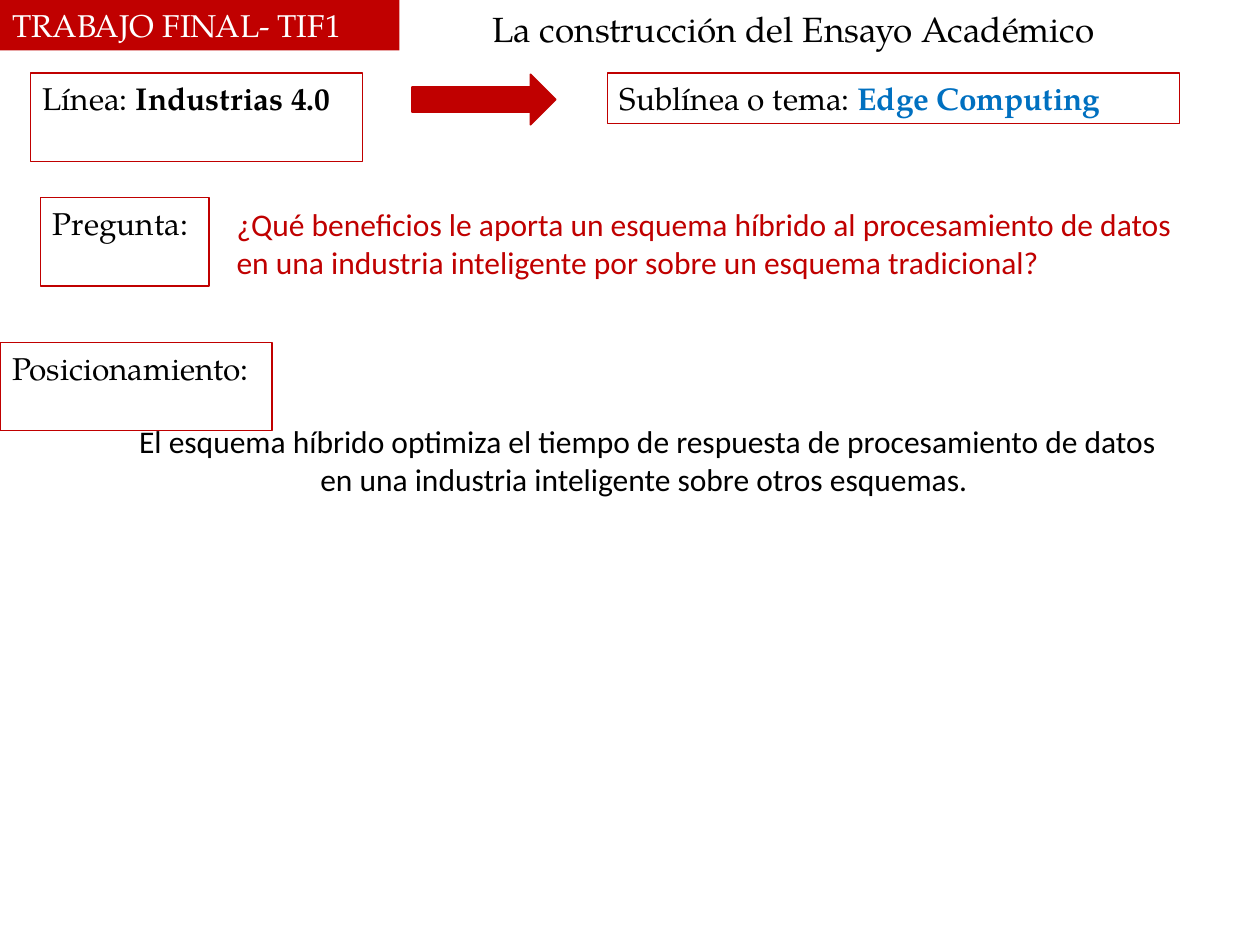
from pptx import Presentation
from pptx.dml.color import RGBColor as RGB
from pptx.enum.shapes import MSO_SHAPE as Shape
from pptx.enum.text import MSO_ANCHOR as Anchor, PP_ALIGN as Align
from pptx.util import Inches, Pt

RED, BLACK, WHITE, BLUE = "C00000", "000000", "FFFFFF", "0070C0"
SERIF, SANS = "TeX Gyre Pagella", "Calibri"


def paint(part, color):
    """Give a fill or a font its colour."""
    if hasattr(part, "solid"):
        part.solid()
        part.fore_color.rgb = RGB.from_string(color)
    else:
        part.color.rgb = RGB.from_string(color)


def write(para, text, size=18, face=SERIF, color=BLACK, bold=False):
    run = para.add_run()
    run.text = text
    run.font.size = Pt(size)
    run.font.name = face
    run.font.bold = bold
    paint(run.font, color)


class Page:
    def __init__(self, slide):
        self.slide = slide

    def place(self, kind, area, fill=None, line=None, width=0.75):
        item = self.slide.shapes.add_shape(kind, *map(Inches, area))
        item.shadow.inherit = False
        if fill:
            paint(item.fill, fill)
        else:
            item.fill.background()
        if line:
            paint(item.line, line)
            item.line.width = Pt(width)
        else:
            item.line.fill.background()
        return item

    def setup(self, item, align):
        frame = item.text_frame
        frame.word_wrap = True
        frame.vertical_anchor = Anchor.TOP
        para = frame.paragraphs[0]
        para.alignment = align
        return para

    def box(self, area, text, strong="", accent=BLACK):
        """Red outlined label, with an optional bold ending."""
        item = self.place(Shape.RECTANGLE, area, line=RED)
        para = self.setup(item, Align.LEFT)
        write(para, text)
        if strong:
            write(para, strong, color=accent, bold=True)

    def banner(self, area, text):
        item = self.place(Shape.RECTANGLE, area, fill=RED)
        write(self.setup(item, Align.LEFT), text, color=WHITE)

    def arrow(self, area):
        self.place(Shape.RIGHT_ARROW, area, fill=RED, line=RED, width=1)

    def text(self, area, text, align=Align.LEFT, **style):
        item = self.slide.shapes.add_textbox(*map(Inches, area))
        write(self.setup(item, align), text, **style)


def main():
    deck = Presentation()
    deck.slide_width, deck.slide_height = Inches(10), Inches(7.5)
    page = Page(deck.slides.add_slide(deck.slide_layouts[6]))

    # Heading
    page.banner((0, 0, 3.17, 0.4), "TRABAJO FINAL- TIF1")
    page.text((3.59, 0.01, 5.2, 0.77), "La construcción del Ensayo Académico",
              Align.RIGHT, size=20)

    # Line of work and its topic
    page.box((0.24, 0.58, 2.64, 0.7), "Línea: ", "Industrias 4.0")
    page.box((4.82, 0.58, 4.54, 0.4), "Sublínea o tema: ", "Edge Computing", BLUE)
    page.arrow((3.27, 0.59, 1.14, 0.4))

    # Question and position
    page.box((0.32, 1.57, 1.34, 0.7), "Pregunta:")
    page.box((0, 2.72, 2.16, 0.7), "Posicionamiento:")
    page.text((1.78, 1.58, 7.83, 0.7),
              "¿Qué beneficios le aporta un esquema híbrido al procesamiento de datos "
              "en una industria inteligente por sobre un esquema tradicional?",
              face=SANS, color=RED)
    page.text((0.99, 3.3, 8.3, 0.7),
              "El esquema híbrido optimiza el tiempo de respuesta de procesamiento de "
              "datos en una industria inteligente sobre otros esquemas. ",
              Align.CENTER, face=SANS)

    deck.save("out.pptx")


if __name__ == "__main__":
    main()
